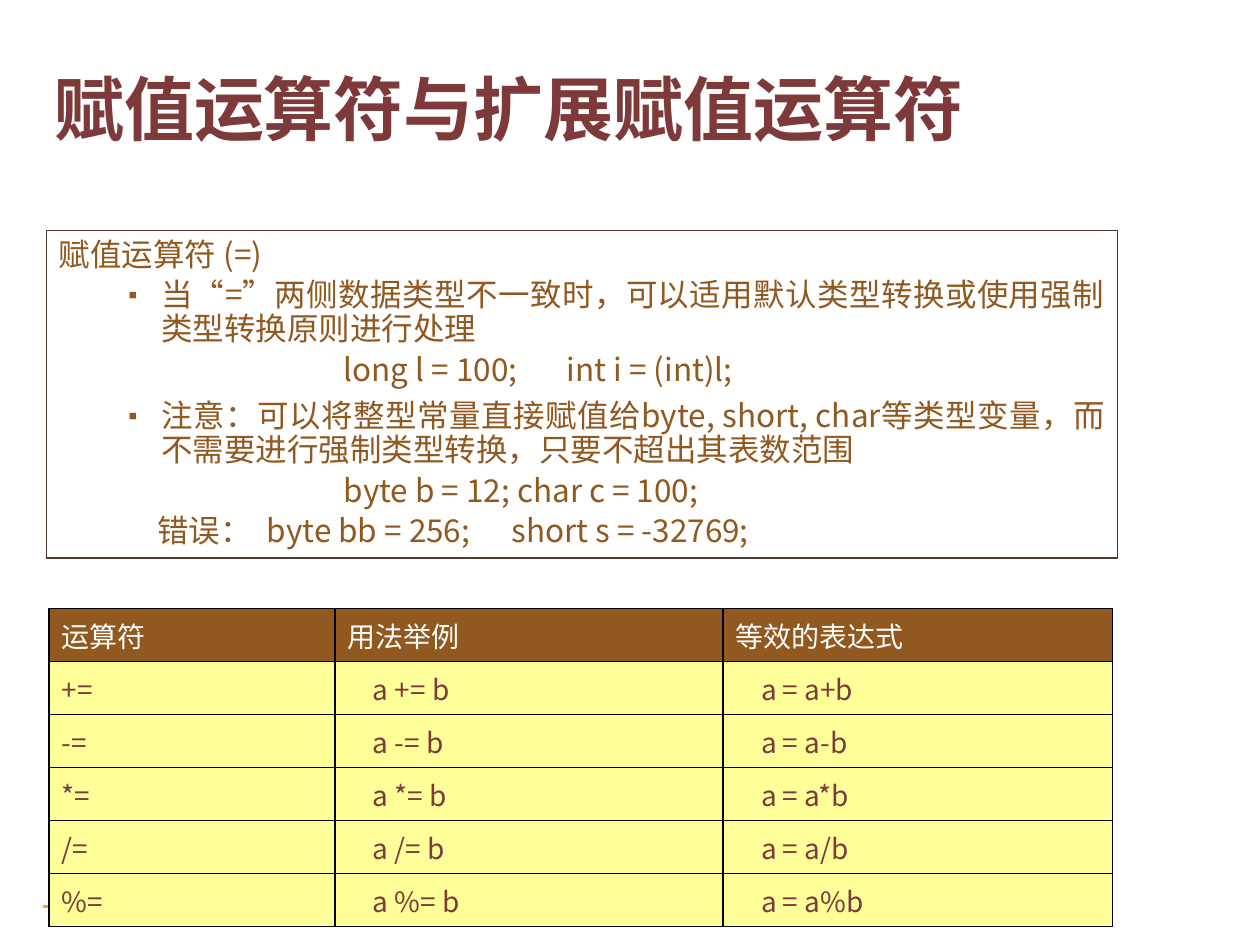
import dataclasses
import typing

import pptx
import pptx.dml.color
import pptx.enum.shapes
import pptx.enum.text
import pptx.oxml.ns
import pptx.util
from lxml import etree

Align = pptx.enum.text.PP_ALIGN
Anchor = pptx.enum.text.MSO_ANCHOR
qn = pptx.oxml.ns.qn

SLIDE_WIDTH = pptx.util.Inches(10)
SLIDE_HEIGHT = pptx.util.Inches(7.5)
GRID_COLUMNS, GRID_ROWS = 100, 75


@dataclasses.dataclass(frozen=True)
class Theme:
    font: str = "Noto Sans CJK SC"
    brown: str = "91581F"
    maroon: str = "7E3A3A"
    frame: str = "4E3B30"
    orange: str = "F0A22E"
    yellow: str = "FFFF99"
    white: str = "FFFFFF"
    black: str = "000000"
    title_size: int = 40
    body_size: int = 18
    table_size: int = 16
    bullet_percent: int = 75
    line_spacing: float = 0.9


THEME = Theme()


@dataclasses.dataclass(frozen=True)
class Area:
    """A rectangle in grid columns and rows."""
    left: float
    top: float
    width: float
    height: float

    def position(self) -> dict[str, int]:
        return {"left": across(self.left), "top": down(self.top),
                "width": across(self.width), "height": down(self.height)}


@dataclasses.dataclass(frozen=True)
class Line:
    """A paragraph of the explanation; tabs are grid columns from the text edge."""
    text: str
    space_before: float = 0.2
    bullet: bool = False
    tabs: tuple[float, ...] = ()


TITLE_AREA = Area(3.3, 4.2, 95.7, 8.6)
RULE_AREA = Area(3.3, 71.7, 79.2, 0.5)
EXPLANATION_AREA = Area(3.7, 18.3, 85, 26)
TABLE_AREA = Area(3.9, 48.3, 84.4, 25.2)
TABLE_COLUMNS = (22.7, 30.8, 30.9)
BULLET_INDENT, BULLET_HANG = 8.1, 3.1
EXAMPLE_INDENT = 2

EXPLANATION = (
    Line("赋值运算符 (=)"),
    Line("当“=”两侧数据类型不一致时，可以适用默认类型转换或使用强制类型转换原则进行处理", bullet=True),
    Line("\tlong l = 100;\tint i = (int)l;", tabs=(22.6, 40.3)),
    Line("注意：可以将整型常量直接赋值给byte, short, char等类型变量，"
         "而不需要进行强制类型转换，只要不超出其表数范围", space_before=0.4, bullet=True),
    Line("\tbyte b = 12; char c = 100;", tabs=(22.6,)),
    Line("\t错误：\tbyte bb = 256;\tshort s = -32769;", tabs=(7.8, 16.5, 35.9)),
)
HEADINGS = ("运算符", "用法举例", "等效的表达式")
OPERATORS = "+-*/%"


def across(columns: float) -> int:
    return round(SLIDE_WIDTH * columns / GRID_COLUMNS)


def down(rows: float) -> int:
    return round(SLIDE_HEIGHT * rows / GRID_ROWS)


def rgb(value: str) -> pptx.dml.color.RGBColor:
    return pptx.dml.color.RGBColor.from_string(value)


def apply(target: typing.Any, values: dict[str, typing.Any]) -> None:
    for name, value in values.items():
        setattr(target, name, value)


def write(paragraph, text: str, size: int, color: str, bold: bool = False) -> None:
    run = paragraph.add_run()
    run.text = text
    apply(run.font, {"size": pptx.util.Pt(size), "name": THEME.font, "bold": bold})
    run.font.color.rgb = rgb(color)
    properties = run.font._element
    properties.set("lang", "zh-CN")
    etree.SubElement(properties, qn("a:ea"), typeface=THEME.font)


def add_title(slide, text: str) -> None:
    title = slide.shapes.title
    apply(title, TITLE_AREA.position())
    apply(title.text_frame, {"vertical_anchor": Anchor.MIDDLE, "word_wrap": True,
                             "auto_size": pptx.enum.text.MSO_AUTO_SIZE.NONE})
    heading = title.text_frame.paragraphs[0]
    heading.alignment = Align.LEFT
    write(heading, text, THEME.title_size, THEME.maroon, bold=True)


def add_rectangle(slide, area: Area, fill: str | None, line: str, weight: float):
    rectangle = slide.shapes.add_shape(
        pptx.enum.shapes.MSO_SHAPE.RECTANGLE, **area.position())
    rectangle.shadow.inherit = False
    if fill:
        rectangle.fill.solid()
        rectangle.fill.fore_color.rgb = rgb(fill)
    else:
        rectangle.fill.background()
    rectangle.line.color.rgb = rgb(line)
    rectangle.line.width = pptx.util.Pt(weight)
    return rectangle


def add_bullet(paragraph) -> None:
    properties = paragraph._p.get_or_add_pPr()
    properties.set("marL", str(across(BULLET_INDENT)))
    properties.set("indent", str(-across(BULLET_HANG)))
    etree.SubElement(properties, qn("a:buSzPct"), val=str(THEME.bullet_percent * 1000))
    etree.SubElement(properties, qn("a:buFont"), typeface=THEME.font)
    etree.SubElement(properties, qn("a:buChar"), char="▪")


def add_tab_stops(paragraph, stops: tuple[float, ...]) -> None:
    tab_list = etree.SubElement(paragraph._p.get_or_add_pPr(), qn("a:tabLst"))
    for stop in stops:
        etree.SubElement(tab_list, qn("a:tab"), pos=str(across(stop)), algn="l")


def add_explanation(slide, lines: tuple[Line, ...]) -> None:
    frame = add_rectangle(slide, EXPLANATION_AREA, None, THEME.frame, 1).text_frame
    apply(frame, {"word_wrap": True, "vertical_anchor": Anchor.MIDDLE})
    for index, line in enumerate(lines):
        paragraph = frame.add_paragraph() if index else frame.paragraphs[0]
        apply(paragraph, {
            "alignment": Align.LEFT if line.tabs else Align.JUSTIFY,
            "line_spacing": THEME.line_spacing,
            "space_before": pptx.util.Pt(THEME.body_size * line.space_before)})
        if line.bullet:
            add_bullet(paragraph)
        if line.tabs:
            add_tab_stops(paragraph, line.tabs)
        write(paragraph, line.text, THEME.body_size, THEME.brown)


def add_borders(cell) -> None:
    properties = cell._tc.get_or_add_tcPr()
    for index, side in enumerate(("a:lnL", "a:lnR", "a:lnT", "a:lnB")):
        border = etree.Element(qn(side), w=str(pptx.util.Pt(1)))
        fill = etree.SubElement(border, qn("a:solidFill"))
        etree.SubElement(fill, qn("a:srgbClr"), val=THEME.black)
        properties.insert(index, border)


def fill_cell(cell, text: str, fill: str, color: str, indent: float) -> None:
    cell.vertical_anchor = Anchor.MIDDLE
    cell.fill.solid()
    cell.fill.fore_color.rgb = rgb(fill)
    add_borders(cell)
    paragraph = cell.text_frame.paragraphs[0]
    paragraph._p.get_or_add_pPr().set("marL", str(across(indent)))
    write(paragraph, text, THEME.table_size, color)


def add_operator_table(slide) -> None:
    rows = [HEADINGS] + [(f"{sign}=", f"a {sign}= b", f"a = a{sign}b")
                         for sign in OPERATORS]
    table = slide.shapes.add_table(
        len(rows), len(HEADINGS), **TABLE_AREA.position()).table
    for column, width in zip(table.columns, TABLE_COLUMNS):
        column.width = across(width)
    for row_index, texts in enumerate(rows):
        fill, color = ((THEME.yellow, THEME.maroon) if row_index
                       else (THEME.brown, THEME.white))
        for column_index, text in enumerate(texts):
            indent = EXAMPLE_INDENT if row_index and column_index else 0
            fill_cell(table.cell(row_index, column_index), text, fill, color, indent)


def main() -> None:
    presentation = pptx.Presentation()
    apply(presentation, {"slide_width": SLIDE_WIDTH, "slide_height": SLIDE_HEIGHT})
    slide = presentation.slides.add_slide(presentation.slide_layouts[5])
    add_rectangle(slide, RULE_AREA, THEME.orange, THEME.white, 2)
    add_explanation(slide, EXPLANATION)
    add_title(slide, "赋值运算符与扩展赋值运算符")
    add_operator_table(slide)
    presentation.save("out.pptx")


if __name__ == "__main__":
    main()
